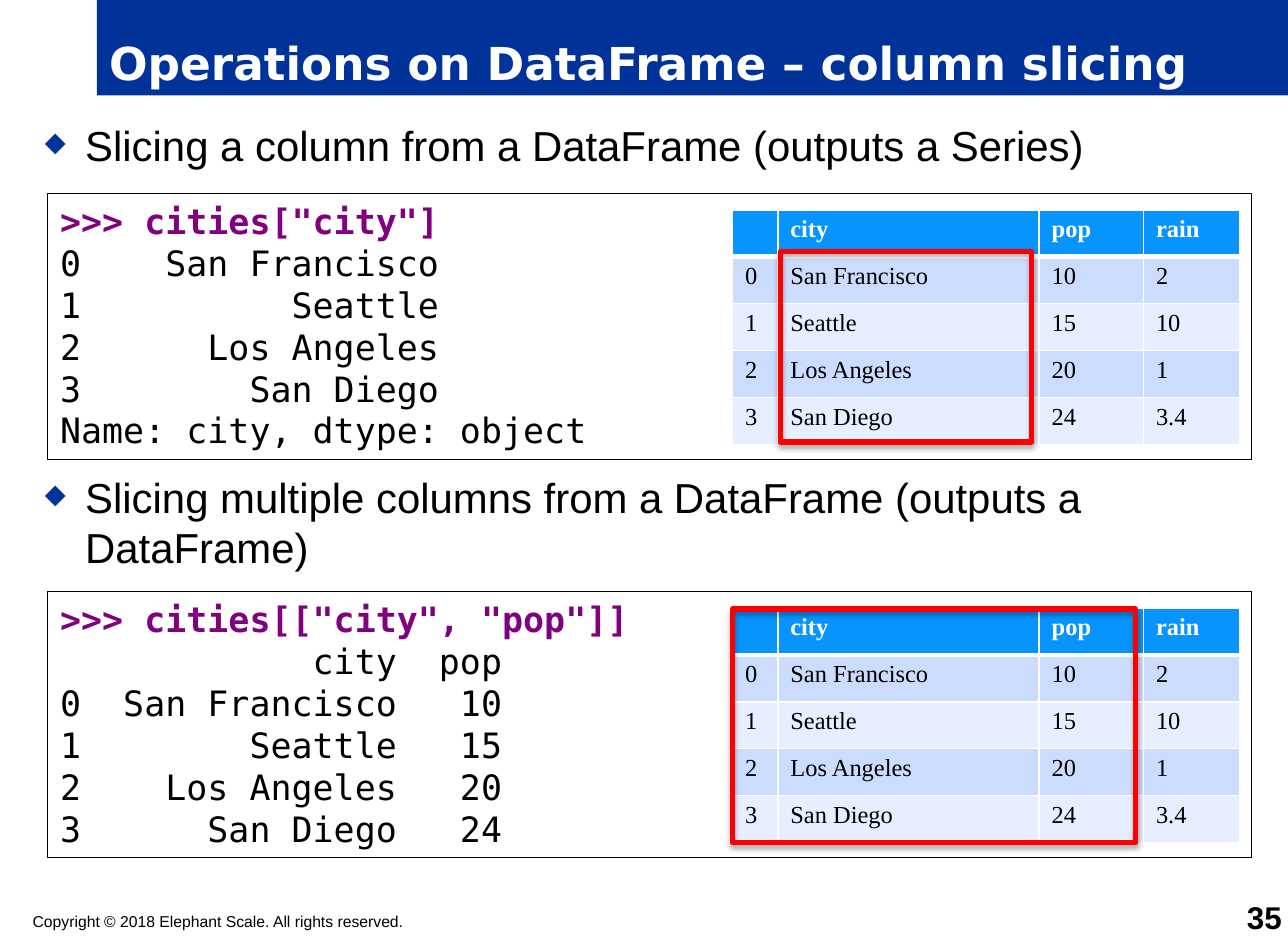
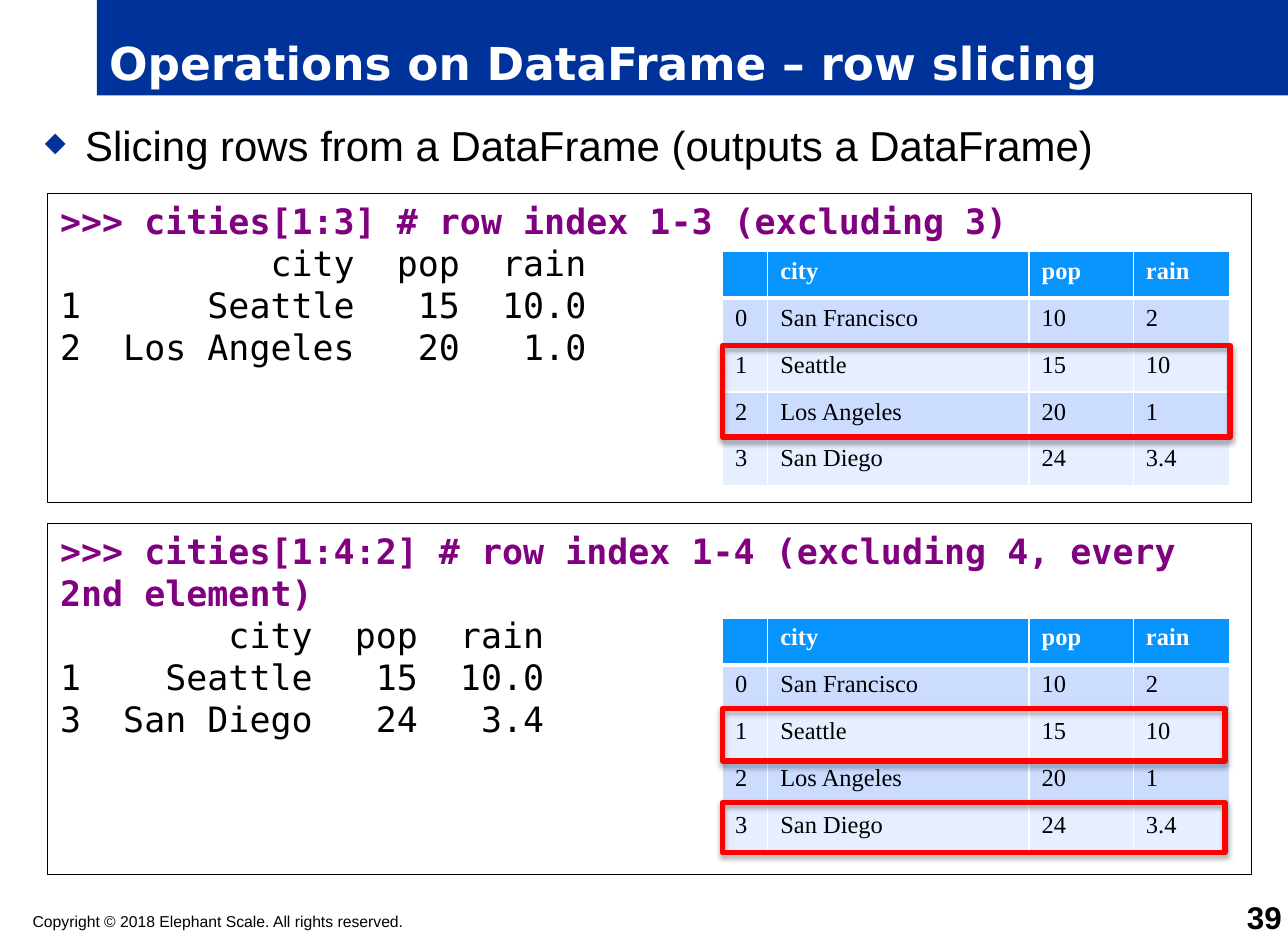
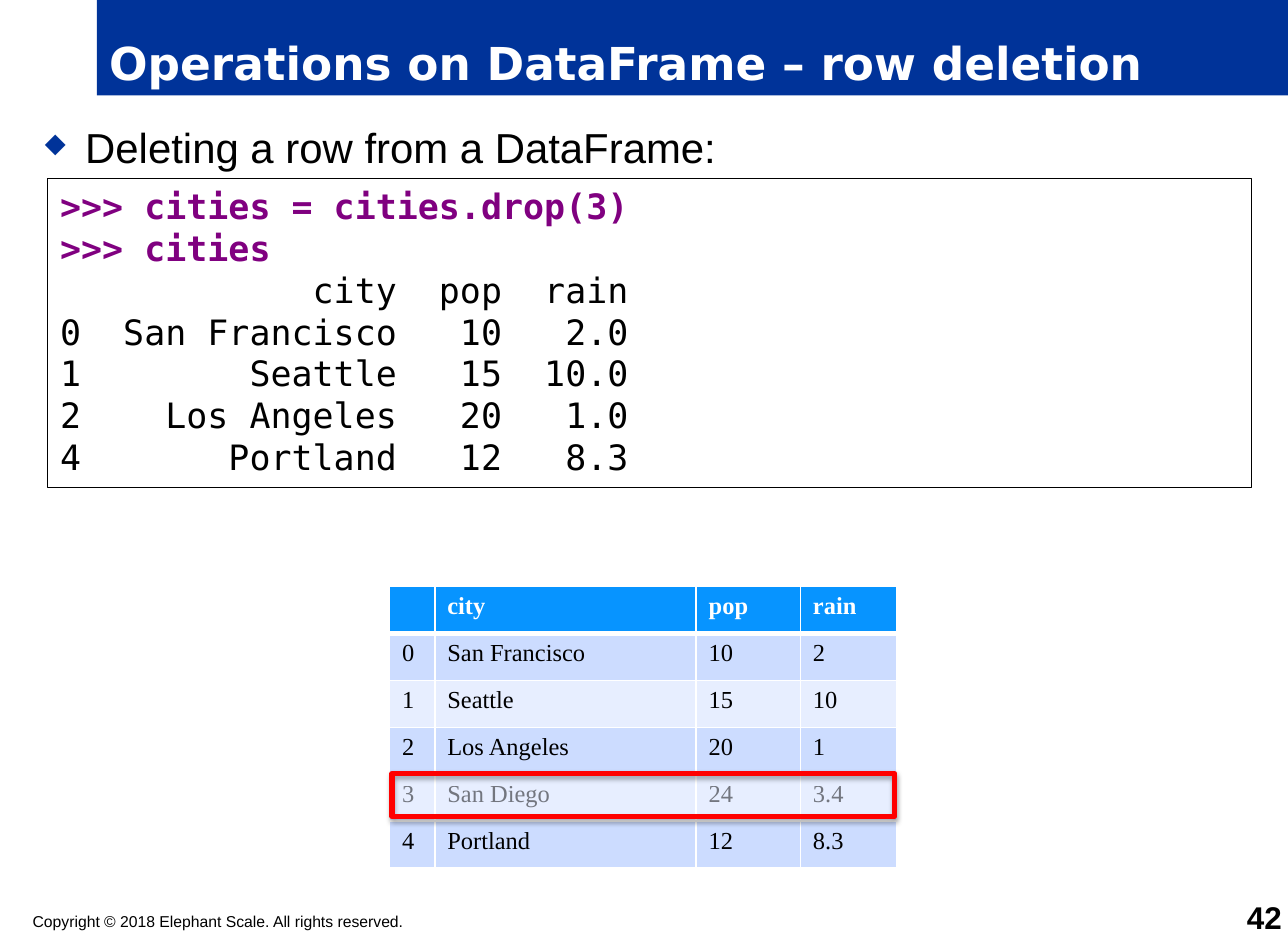
from lxml.etree import SubElement
from pptx import Presentation
from pptx.dml.color import RGBColor
from pptx.enum.shapes import MSO_SHAPE as Shape
from pptx.enum.text import MSO_ANCHOR as Anchor, PP_ALIGN as Align
from pptx.oxml.ns import qn
from pptx.util import Inches, Pt

NAVY = RGBColor(0x00, 0x33, 0x99)
BLUE = RGBColor(0x07, 0x94, 0xFF)
BANDS = RGBColor(0xCC, 0xDC, 0xFF), RGBColor(0xE7, 0xEE, 0xFF)
PLUM = RGBColor(0x80, 0x00, 0x80)
RED = RGBColor(0xFF, 0x00, 0x00)
BLACK = RGBColor(0x00, 0x00, 0x00)
WHITE = RGBColor(0xFF, 0xFF, 0xFF)

SANS, HEAD, MONO, SERIF = "Arial", "DejaVu Sans", "DejaVu Sans Mono", "Times New Roman"

COLS = 0.36, 2.08, 0.83, 0.77
ROW = 1.87 / 5
CITIES = [
    ("", "city", "pop", "rain"),
    ("0", "San Francisco", "10", "2"),
    ("1", "Seattle", "15", "10"),
    ("2", "Los Angeles", "20", "1"),
    ("3", "San Diego", "24", "3.4"),
]


def add(parent, tag, **attrs):
    return SubElement(parent, qn(tag), {key: str(val) for key, val in attrs.items()})


def write(para, text, font=SANS, size=24, color=BLACK, bold=False,
          align=Align.LEFT, line=None, alpha=None):
    """Put formatted text in a paragraph."""
    para.alignment = align
    if line:
        para.line_spacing = Pt(line)
    if not text:
        add(para._p, "a:endParaRPr", sz=size * 100)
        return
    run = para.add_run()
    run.text = text
    run.font.name, run.font.size, run.font.bold = font, Pt(size), bold
    run.font.color.rgb = color
    if alpha:
        tint = run._r.rPr.find(".//" + qn("a:srgbClr"))
        add(tint, "a:alpha", val=alpha * 1000)


class Deck:
    def __init__(self):
        self.prs = Presentation()
        self.prs.slide_width, self.prs.slide_height = Inches(10.25), Inches(7.5)

    def start(self, title, number):
        """Open a slide with its title band and footer."""
        self.shapes = self.prs.slides.add_slide(self.prs.slide_layouts[6]).shapes
        band = self.rect(0.77, 0, 9.48, 0.76, fill=NAVY)
        band.text_frame.vertical_anchor = Anchor.BOTTOM
        write(band.text_frame.paragraphs[0], title, font=HEAD, size=26, color=WHITE, bold=True)
        note = self.label(0.26, 7.26, 5.95, 0.15, margin=0)
        write(note.paragraphs[0], "Copyright © 2018 Elephant Scale. All rights reserved.", size=9)
        page = self.label(9.6, 7.2, 0.6, 0.25, margin=0)
        page.vertical_anchor = Anchor.BOTTOM
        write(page.paragraphs[0], str(number), size=18, bold=True, align=Align.RIGHT)

    def rect(self, x, y, w, h, fill=None, line=None, width=0.75):
        box = self.shapes.add_shape(Shape.RECTANGLE, Inches(x), Inches(y), Inches(w), Inches(h))
        box.shadow.inherit = False
        if fill is None:
            box.fill.background()
        else:
            box.fill.solid()
            box.fill.fore_color.rgb = fill
        if line is None:
            box.line.fill.background()
        else:
            box.line.color.rgb = line
            box.line.width = Pt(width)
        return box

    def label(self, x, y, w, h, margin=None):
        frame = self.shapes.add_textbox(Inches(x), Inches(y), Inches(w), Inches(h)).text_frame
        frame.word_wrap = True
        if margin is not None:
            frame.margin_left = frame.margin_right = Inches(margin)
            frame.margin_top = frame.margin_bottom = Inches(margin)
        return frame

    def bullet(self, y, text, h=0.5):
        para = self.label(0.26, y, 9.74, h).paragraphs[0]
        props = para._p.get_or_add_pPr()
        props.set("marL", str(Inches(0.32)))
        props.set("indent", str(-Inches(0.32)))
        add(add(props, "a:buClr"), "a:srgbClr", val=NAVY)
        add(props, "a:buSzPct", val=65000)
        add(props, "a:buChar", char="◆")
        write(para, text, line=28.6)

    def code(self, y, h, text):
        """Boxed listing; prompt lines stand out."""
        frame = self.rect(0.38, y, 9.58, h, fill=WHITE, line=BLACK).text_frame
        frame.vertical_anchor = Anchor.TOP
        for i, row in enumerate(text.strip("\n").split("\n")):
            para = frame.add_paragraph() if i else frame.paragraphs[0]
            prompt = row.startswith(">>>")
            write(para, row, font=MONO, size=20, line=24, bold=prompt,
                  color=PLUM if prompt else BLACK)

    def table(self, x, y, rows, faded=None):
        grid = self.shapes.add_table(len(rows), len(COLS), Inches(x), Inches(y),
                                     Inches(sum(COLS)), Inches(ROW * len(rows))).table
        for col, width in zip(grid.columns, COLS):
            col.width = Inches(width)
        for r, row in enumerate(rows):
            for c, text in enumerate(row):
                cell = grid.cell(r, c)
                self.edges(cell, top=3 if r == 1 else 1, bottom=1 if r else 3)
                cell.fill.solid()
                cell.fill.fore_color.rgb = BANDS[(r - 1) % 2] if r else BLUE
                write(cell.text_frame.paragraphs[0], text, font=SERIF, size=14, bold=r == 0,
                      color=BLACK if r else WHITE, alpha=50 if r == faded else None)

    def edges(self, cell, top, bottom):
        props = cell._tc.get_or_add_tcPr()
        for side, width in zip("LRTB", (1, 1, top, bottom)):
            edge = add(props, "a:ln" + side, w=Pt(width))
            add(add(edge, "a:solidFill"), "a:srgbClr", val=WHITE)

    def mark(self, x, y, w, h):
        """Red frame with a soft shadow."""
        box = self.rect(x, y, w, h, line=RED, width=3)
        glow = add(box._element.spPr.find(qn("a:effectLst")), "a:outerShdw",
                   blurRad=Pt(3.1), dist=Pt(1.8), dir=90 * 60000, rotWithShape=0)
        add(add(glow, "a:srgbClr", val=BLACK), "a:alpha", val=35000)


def main():
    deck = Deck()

    # Column slicing
    deck.start("Operations on DataFrame – column slicing", 35)
    deck.bullet(0.91, "Slicing a column from a DataFrame (outputs a Series)")
    deck.bullet(3.71, "Slicing multiple columns from a DataFrame (outputs a DataFrame)", h=0.9)
    deck.code(1.54, 2.12, """
>>> cities["city"]
0    San Francisco
1          Seattle
2      Los Angeles
3        San Diego
Name: city, dtype: object
""")
    deck.code(4.71, 2.12, """
>>> cities[["city", "pop"]]
            city  pop
0  San Francisco   10
1        Seattle   15
2    Los Angeles   20
3      San Diego   24
""")
    deck.table(5.83, 1.67, CITIES)
    deck.mark(6.21, 2, 2, 1.52)
    deck.table(5.83, 4.84, CITIES)
    deck.mark(5.83, 4.85, 3.21, 1.86)

    # Row slicing
    deck.start("Operations on DataFrame – row slicing", 39)
    deck.bullet(0.91, "Slicing rows from a DataFrame (outputs a DataFrame)")
    deck.code(1.54, 2.46, """
>>> cities[1:3] # row index 1-3 (excluding 3)
          city  pop  rain
1      Seattle   15  10.0
2  Los Angeles   20   1.0
""")
    deck.code(4.17, 2.79, """
>>> cities[1:4:2] # row index 1-4 (excluding 4, every 2nd element)
        city  pop  rain
1    Seattle   15  10.0
3  San Diego   24   3.4
""")
    deck.table(5.75, 2, CITIES)
    deck.table(5.75, 4.92, CITIES)
    deck.mark(5.75, 2.75, 4.04, 0.73)
    deck.mark(5.75, 5.64, 4, 0.42)
    deck.mark(5.75, 6.39, 4, 0.4)

    # Row deletion
    deck.start("Operations on DataFrame – row deletion", 42)
    deck.bullet(0.92, "Deleting a row from a DataFrame:")
    deck.code(1.42, 2.46, """
>>> cities = cities.drop(3)
>>> cities
            city  pop  rain
0  San Francisco   10   2.0
1        Seattle   15  10.0
2    Los Angeles   20   1.0
4       Portland   12   8.3
""")
    deck.table(3.1, 4.67, CITIES + [("4", "Portland", "12", "8.3")], faded=4)
    deck.mark(3.12, 6.16, 4, 0.34)

    deck.prs.save("out.pptx")


if __name__ == "__main__":
    main()
